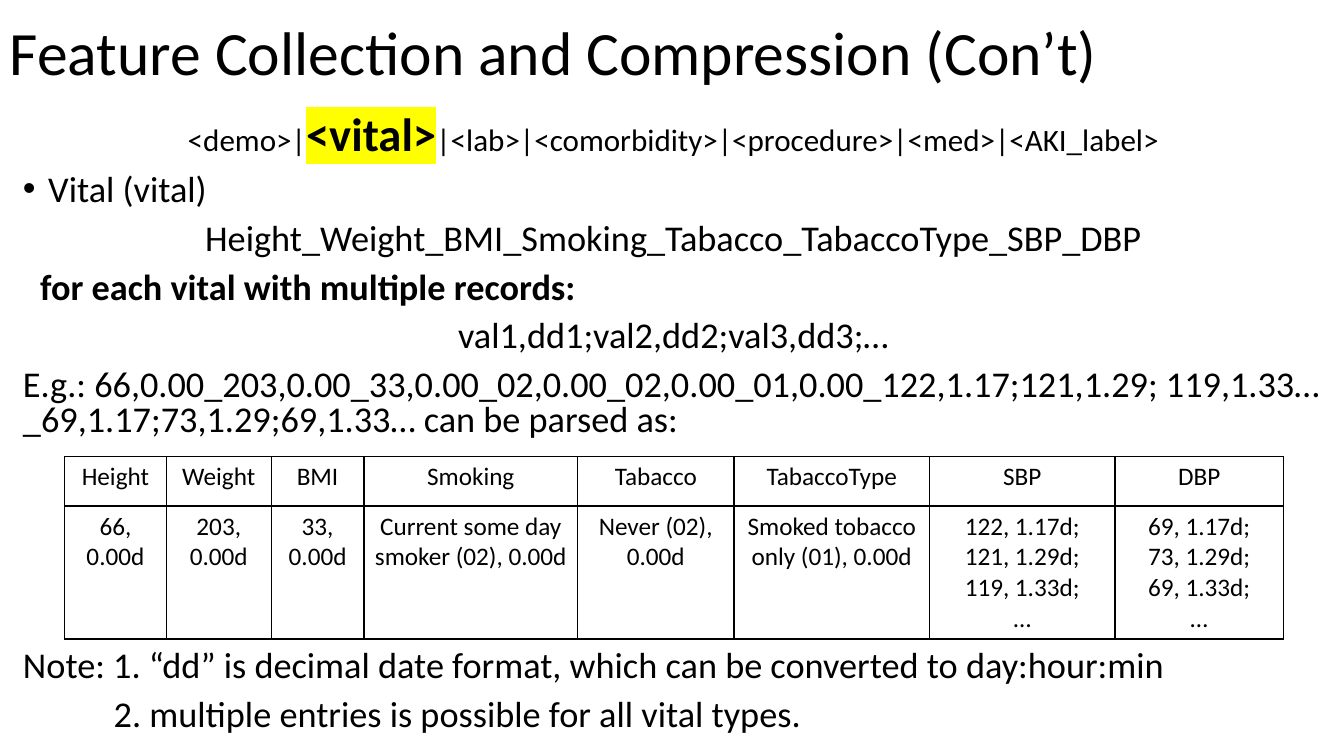
from lxml import etree
from pptx import Presentation
from pptx import oxml
from pptx import util as u
from pptx.dml import color
from pptx.enum import text
from pptx.oxml import ns

BLACK = color.RGBColor(0, 0, 0)
YELLOW = color.RGBColor(255, 255, 0)
FONT = "Calibri"
BODY_SIZE = 25.9
CENTER = text.PP_ALIGN.CENTER
LEFT = text.PP_ALIGN.LEFT

VITALS = [
    ("Height", 1.01, "66, 0.00d"),
    ("Weight", 1.04, "203, 0.00d"),
    ("BMI", 0.92, "33, 0.00d"),
    ("Smoking", 2.12, "Current some day smoker (02), 0.00d"),
    ("Tabacco", 1.55, "Never (02), 0.00d"),
    ("TabaccoType", 1.94, "Smoked tobacco only (01), 0.00d"),
    ("SBP", 1.84, "122, 1.17d;\n121, 1.29d;\n119, 1.33d;\n…"),
    ("DBP", 1.67, "69, 1.17d;\n73, 1.29d;\n69, 1.33d;\n…"),
]
ROW_HEIGHTS = (0.49, 1.32)

EXPLANATION = [
    ("Vital (vital)", LEFT, False, 0.25),
    ("Height_Weight_BMI_Smoking_Tabacco_TabaccoType_SBP_DBP", CENTER, False, 0),
    ("for each vital with multiple records:", LEFT, True, 0.17),
    ("val1,dd1;val2,dd2;val3,dd3;…", CENTER, False, 0),
    ("E.g.: 66,0.00_203,0.00_33,0.00_02,0.00_02,0.00_01,0.00_122,1.17;121,1.29; "
     "119,1.33…_69,1.17;73,1.29;69,1.33… can be parsed as:", LEFT, False, 0),
]
NOTES = [
    ("Note: 1. “dd” is decimal date format, which can be converted to day:hour:min",
     LEFT, False, 0),
    ("2. multiple entries is possible for all vital types.", LEFT, False, 0.9),
]


def style_run(run, size, bold=False):
    """Set the font of one run."""
    run.font.name = FONT
    run.font.size = u.Pt(size)
    run.font.bold = bold
    run.font.color.rgb = BLACK


def add_frame(slide, box):
    """Add a wrapping text box and return its text frame."""
    frame = slide.shapes.add_textbox(*map(u.Inches, box)).text_frame
    frame.word_wrap = True
    return frame


def space_line(line, align):
    """Give a body line its alignment and spacing."""
    line.alignment = align
    line.line_spacing = 0.8
    line.space_before = u.Pt(10)


def fill_line(line, content):
    """Write one body line from its wording, alignment, weight and indent."""
    wording, align, bold, indent = content
    line.text = wording
    space_line(line, align)
    style_run(line.runs[0], BODY_SIZE, bold)
    if indent:
        line._p.get_or_add_pPr().set("marL", str(u.Inches(indent)))


def add_bullet(line, hang):
    """Hang a round bullet in front of a line."""
    properties = line._p.get_or_add_pPr()
    properties.set("indent", str(-u.Inches(hang)))
    for tag, key, value in (("a:buFont", "typeface", "Arial"), ("a:buChar", "char", "•")):
        etree.SubElement(properties, ns.qn(tag)).set(key, value)


def highlight(run, shade):
    """Mark a run with a background colour."""
    marker = oxml.parse_xml(
        f'<a:highlight {ns.nsdecls("a")}><a:srgbClr val="{shade}"/></a:highlight>')
    run._r.rPr.find(ns.qn("a:solidFill")).addnext(marker)


def add_title(slide, box):
    """Place the slide title."""
    frame = add_frame(slide, box)
    frame.vertical_anchor = text.MSO_ANCHOR.MIDDLE
    frame.text = "Feature Collection and Compression (Con’t)"
    frame.paragraphs[0].line_spacing = 0.9
    style_run(frame.paragraphs[0].runs[0], 44)


def add_explanation(slide, box):
    """Place the record layout and the lines that explain the vital field."""
    frame = add_frame(slide, box)
    layout = frame.paragraphs[0]
    space_line(layout, CENTER)
    for wording, size, current in (
            ("<demo>|", 22.2, False), ("<vital>", 33.3, True),
            ("|<lab>|<comorbidity>|<procedure>|<med>|<AKI_label>", 22.2, False)):
        field = layout.add_run()
        field.text = wording
        style_run(field, size, current)
        if current:
            highlight(field, YELLOW)
    for content in EXPLANATION:
        fill_line(frame.add_paragraph(), content)
    add_bullet(frame.paragraphs[1], 0.25)


def add_notes(slide, box):
    """Place the notes under the table."""
    frame = add_frame(slide, box)
    for index, content in enumerate(NOTES):
        fill_line(frame.add_paragraph() if index else frame.paragraphs[0], content)


def fill_cell(cell, wording):
    """Write a centred table cell with thin black borders and no fill."""
    cell.text_frame.text = wording
    for line in cell.text_frame.paragraphs:
        line.alignment = CENTER
        style_run(line.runs[0], 18)
    properties = cell._tc.get_or_add_tcPr()
    for side in "LRTB":
        properties.append(oxml.parse_xml(
            f'<a:ln{side} {ns.nsdecls("a")} w="{u.Pt(1)}"><a:solidFill>'
            f'<a:srgbClr val="{BLACK}"/></a:solidFill></a:ln{side}>'))
    cell.fill.background()


def add_vitals_table(slide, box):
    """Place the table of parsed vitals."""
    table = slide.shapes.add_table(
        len(ROW_HEIGHTS), len(VITALS), *map(u.Inches, box)).table
    table.first_row = table.horz_banding = False
    for row, height in zip(table.rows, ROW_HEIGHTS):
        row.height = u.Inches(height)
    for column, (vital, width, records) in enumerate(VITALS):
        table.columns[column].width = u.Inches(width)
        fill_cell(table.cell(0, column), vital)
        fill_cell(table.cell(1, column), records)


def main():
    """Build and save the slide."""
    deck = Presentation()
    deck.slide_width, deck.slide_height = u.Inches(13.33), u.Inches(7.5)
    slide = deck.slides.add_slide(deck.slide_layouts[6])
    add_title(slide, (0, 0, 11.5, 1.1))
    add_explanation(slide, (0.13, 1.1, 13.1, 3.4))
    add_vitals_table(slide, (0.64, 4.53, 12.09, sum(ROW_HEIGHTS)))
    add_notes(slide, (0.13, 6.41, 13.1, 1.05))
    deck.save("out.pptx")


main()
